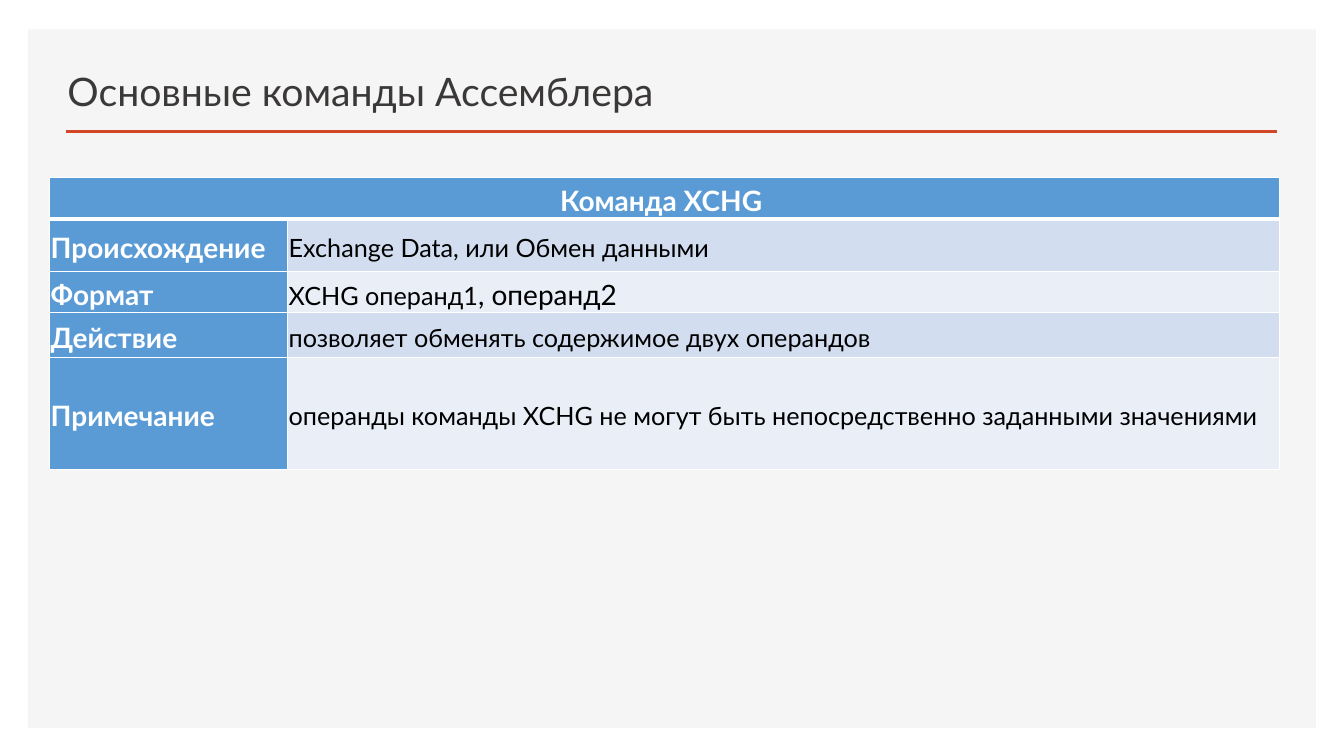
from dataclasses import dataclass
from lxml.etree import SubElement
from pptx import Presentation
from pptx.dml.color import RGBColor
from pptx.enum.shapes import MSO_CONNECTOR as Connector, MSO_SHAPE as Shape
from pptx.enum.text import MSO_ANCHOR as Anchor, PP_ALIGN as Align
from pptx.oxml import parse_xml
from pptx.oxml.ns import nsdecls, qn
from pptx.util import Pt

HEADING = "Основные команды Ассемблера"
COMMAND = "Команда XCHG "
DETAILS = [
    ("Происхождение", ["Exchange Data, или Обмен данными"]),
    ("Формат", ["XCHG операнд1", ", операнд2"]),
    ("Действие", ["позволяет обменять содержимое двух операндов"]),
    ("Примечание", ["операнды команды XCHG не могут быть непосредственно заданными значениями"]),
]
COLUMN_WIDTHS = [170, 708.5]
ROW_HEIGHTS = [24, 38, 24, 32, 80]


@dataclass(frozen=True)
class Theme:
    font: str = "Lato"
    panel: str = "F5F5F5"
    rule: str = "D24726"
    heading: str = "3B3838"
    label_fill: str = "5B9BD5"
    bands: tuple = ("D2DEEF", "EAEFF7")
    white: str = "FFFFFF"
    black: str = "000000"
    heading_size: int = 28
    label_size: int = 20
    detail_size: int = 18


theme = Theme()


def color(code):
    return RGBColor.from_string(code)


def add_run(paragraph, text, size, code, bold=False):
    run = paragraph.add_run()
    run.text = text
    run.font.name = theme.font
    run.font.size = Pt(size)
    run.font.bold = bold
    run.font.color.rgb = color(code)


def style_cell(cell, fill, top=1, bottom=1):
    cell.fill.solid()
    cell.fill.fore_color.rgb = color(fill)
    cell.vertical_anchor = Anchor.MIDDLE
    cell.margin_left = cell.margin_right = cell.margin_top = cell.margin_bottom = Pt(0.75)
    borders = [("L", 1), ("R", 1), ("T", top), ("B", bottom)]
    for index, (side, width) in enumerate(borders):
        border = parse_xml(
            f'<a:ln{side} {nsdecls("a")} w="{Pt(width)}"><a:solidFill>'
            f'<a:srgbClr val="{theme.white}"/></a:solidFill></a:ln{side}>')
        cell._tc.get_or_add_tcPr().insert(index, border)
    paragraph = cell.text_frame.paragraphs[0]
    paragraph.line_spacing = 1.15
    return paragraph


deck = Presentation()
deck.slide_width, deck.slide_height = Pt(960), Pt(540)
slide = deck.slides.add_slide(deck.slide_layouts[5])
shapes = slide.shapes
heading = shapes.title

panel = shapes.add_shape(Shape.RECTANGLE, Pt(20), Pt(21), Pt(920), Pt(499))
panel.shadow.inherit = False
panel.fill.solid()
panel.fill.fore_color.rgb = color(theme.panel)
panel.line.fill.background()
heading._element.addprevious(panel._element)

rule = shapes.add_connector(Connector.STRAIGHT, Pt(47.5), Pt(94), Pt(912), Pt(94))
rule.line.color.rgb = color(theme.rule)
rule.line.width = Pt(2)
SubElement(rule._element.spPr, qn("a:effectLst"))

heading.left, heading.top, heading.width, heading.height = Pt(41), Pt(35), Pt(871), Pt(50.5)
heading.text_frame.vertical_anchor = Anchor.BOTTOM
heading.text_frame.word_wrap = True
heading_line = heading.text_frame.paragraphs[0]
heading_line.alignment = Align.LEFT
add_run(heading_line, HEADING, theme.heading_size, theme.heading)

command = shapes.add_table(
    len(ROW_HEIGHTS), len(COLUMN_WIDTHS), Pt(35.5), Pt(127),
    Pt(sum(COLUMN_WIDTHS)), Pt(sum(ROW_HEIGHTS))).table
for column, width in zip(command.columns, COLUMN_WIDTHS):
    column.width = Pt(width)
for row, height in zip(command.rows, ROW_HEIGHTS):
    row.height = Pt(height)

command.cell(0, 0).merge(command.cell(0, 1))
command_line, _ = [style_cell(cell, theme.label_fill, bottom=3) for cell in command.rows[0].cells]
command_line.alignment = Align.CENTER
add_run(command_line, COMMAND, theme.label_size, theme.white, True)

for number, (label, parts) in enumerate(DETAILS, 1):
    top = 3 if number == 1 else 1
    label_line = style_cell(command.cell(number, 0), theme.label_fill, top)
    add_run(label_line, label, theme.label_size, theme.white, True)
    detail_line = style_cell(command.cell(number, 1), theme.bands[(number - 1) % 2], top)
    for part, size in zip(parts, (theme.detail_size, theme.label_size)):
        add_run(detail_line, part, size, theme.black)

deck.save("out.pptx")
